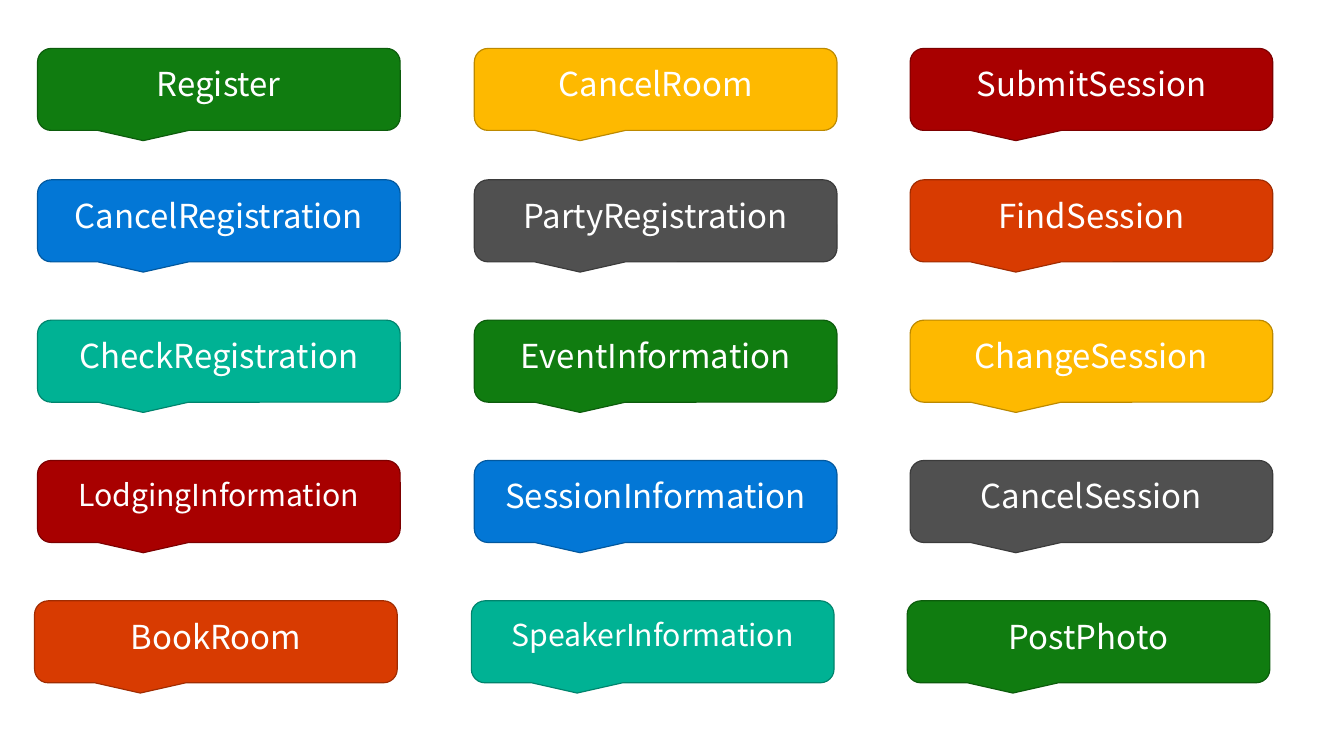
from itertools import cycle

from pptx import Presentation
from pptx.dml.color import RGBColor
from pptx.enum.shapes import MSO_SHAPE
from pptx.enum.text import MSO_ANCHOR, PP_ALIGN
from pptx.util import Pt

EMU_PER_PX = 9144
SLIDE_SIZE = (1360, 765)
COLUMN_LEFTS = (38, 480, 921)
ROW_TOPS = (49, 182, 324, 466, 608)
LAST_ROW_SHIFT = -3
CALLOUT_SIZE = (367, 83)
PALETTE = (
    ("107C10", "0C5C0C"),
    ("0377D6", "02589E"),
    ("00B294", "00846D"),
    ("A80000", "7C0000"),
    ("D83B01", "A02C01"),
    ("FEB900", "BC8900"),
    ("505050", "3B3B3B"),
)
INTENT_COLUMNS = (
    ("Register", "CancelRegistration", "CheckRegistration",
     "LodgingInformation", "BookRoom"),
    ("CancelRoom", "PartyRegistration", "EventInformation",
     "SessionInformation", "SpeakerInformation"),
    ("SubmitSession", "FindSession", "ChangeSession",
     "CancelSession", "PostPhoto"),
)
SMALLER_INTENTS = {"LodgingInformation", "SpeakerInformation"}


def px(length):
    return length * EMU_PER_PX


def color(hex_code):
    return RGBColor.from_string(hex_code)


def apply_format(target, values):
    for name, value in values.items():
        setattr(target, name, value)


class IntentSlide:
    """Hold the callout style and the slide being drawn."""

    frame_format = {
        "margin_left": px(20), "margin_right": px(20),
        "margin_top": px(16), "margin_bottom": px(16),
        "vertical_anchor": MSO_ANCHOR.TOP, "word_wrap": True,
    }
    paragraph_format = {"alignment": PP_ALIGN.CENTER, "line_spacing": 0.9}
    font_name = "Noto Sans CJK JP"
    text_color = "FFFFFF"
    line_width = Pt(0.85)

    def __init__(self, presentation):
        self.slide = presentation.slides.add_slide(presentation.slide_layouts[6])

    def callout(self, text, left, top, fill, outline, size=24):
        shape = self.slide.shapes.add_shape(
            MSO_SHAPE.ROUNDED_RECTANGULAR_CALLOUT,
            px(left), px(top), *map(px, CALLOUT_SIZE))
        shape.shadow.inherit = False
        shape.fill.solid()
        shape.fill.fore_color.rgb = color(fill)
        shape.line.color.rgb = color(outline)
        shape.line.width = self.line_width
        apply_format(shape.text_frame, self.frame_format)
        paragraph = shape.text_frame.paragraphs[0]
        apply_format(paragraph, self.paragraph_format)
        run = paragraph.add_run()
        run.text = text
        apply_format(run.font, {"name": self.font_name, "size": Pt(size)})
        run.font.color.rgb = color(self.text_color)


def main():
    presentation = Presentation()
    presentation.slide_width, presentation.slide_height = map(px, SLIDE_SIZE)
    intent_slide = IntentSlide(presentation)
    colors = cycle(PALETTE)
    for column_left, intents in zip(COLUMN_LEFTS, INTENT_COLUMNS):
        for top, intent in zip(ROW_TOPS, intents):
            left = column_left + (LAST_ROW_SHIFT if top == ROW_TOPS[-1] else 0)
            size = 22 if intent in SMALLER_INTENTS else 24
            intent_slide.callout(intent, left, top, *next(colors), size=size)
    presentation.save("out.pptx")


if __name__ == "__main__":
    main()
